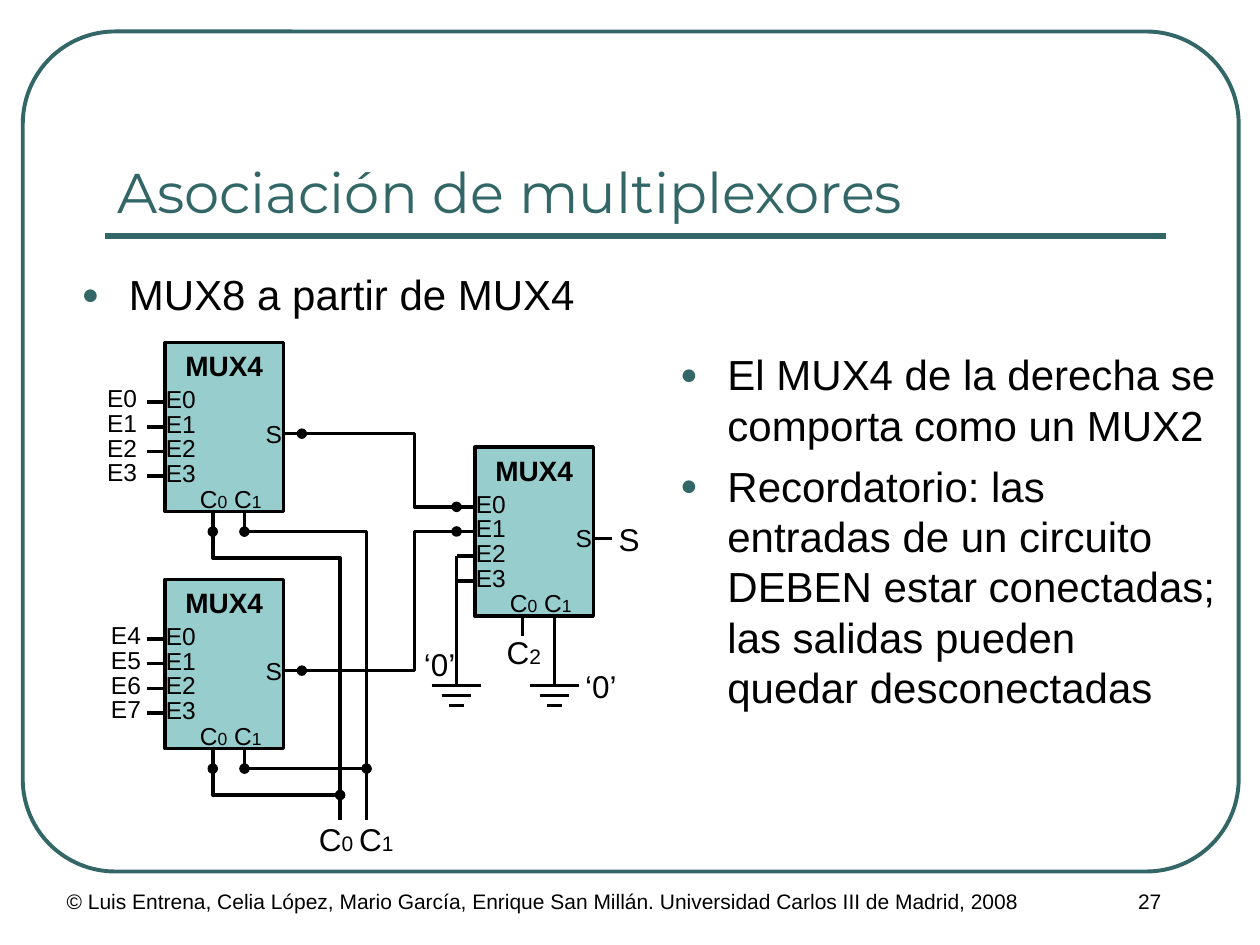
from lxml import etree
from pptx import Presentation
from pptx.dml.color import RGBColor
from pptx.enum.shapes import MSO_CONNECTOR, MSO_SHAPE
from pptx.enum.text import MSO_ANCHOR, MSO_AUTO_SIZE, PP_ALIGN
from pptx.oxml.ns import qn
from pptx.util import Pt

LEFT, MID, RIGHT = PP_ALIGN.LEFT, PP_ALIGN.CENTER, PP_ALIGN.RIGHT
TOP, CORE, LOW = MSO_ANCHOR.TOP, MSO_ANCHOR.MIDDLE, MSO_ANCHOR.BOTTOM
FIXED = MSO_AUTO_SIZE.NONE
RECT, ROUND = MSO_SHAPE.RECTANGLE, MSO_SHAPE.ROUNDED_RECTANGLE
LINE = MSO_CONNECTOR.STRAIGHT

HUES = {"teal": "336666", "box": "97CDCC", "ink": "000000"}
STUB, STEP = 10.5, 14.1
WIDE, TALL = 67.7, 96.5


def hue(name):
    return RGBColor.from_string(HUES[name])


def add(root, tag, **attrs):
    return etree.SubElement(root, qn(tag), attrs)


def bullet(para):
    props = para._p.get_or_add_pPr()
    props.set("marL", str(Pt(27)))
    props.set("indent", str(-Pt(27)))
    add(add(props, "a:buClr"), "a:srgbClr", val=HUES["teal"])
    add(props, "a:buSzPct", val="70000")
    add(props, "a:buFont", typeface="Arial")
    add(props, "a:buChar", char="●")


def write(shape, text, size=14, sub=10, font="Arial", color="ink", bold=False,
          align=LEFT, anchor=TOP, pad=(7.2, 3.6), wrap=True, dots=False):
    frame = shape.text_frame
    frame.word_wrap, frame.auto_size = wrap, FIXED
    frame.vertical_anchor = anchor
    frame.margin_left = frame.margin_right = Pt(pad[0])
    frame.margin_top = frame.margin_bottom = Pt(pad[1])
    for row, line in enumerate(text.split("\n")):
        para = frame.paragraphs[0] if row == 0 else frame.add_paragraph()
        para.alignment = align
        if dots:
            bullet(para)
            para.space_before = Pt(6 if row else 0)
        for turn, part in enumerate(line.split("_")):
            if not part:
                continue
            run = para.add_run()
            run.text = part
            run.font.name, run.font.bold = font, bold
            run.font.size = Pt(sub if turn % 2 else size)
            run.font.color.rgb = hue(color)


def place(slide, box, text, **style):
    write(slide.shapes.add_textbox(*map(Pt, box)), text, **style)


def label(slide, box, text, **style):
    place(slide, box, text, pad=(0, 0), **style)


def wire(slide, pts, head=False, tail=False, color="ink", width=2):
    pts = [(Pt(x), Pt(y)) for x, y in pts]
    if len(pts) == 2:
        path = slide.shapes.add_connector(LINE, *pts[0], *pts[1])
        add(path._element.spPr, "a:effectLst")
    else:
        pen = slide.shapes.build_freeform(*pts[0], scale=1.0)
        pen.add_line_segments(pts[1:], close=False)
        path = pen.convert_to_shape()
        path.fill.background()
        path.shadow.inherit = False
    path.line.color.rgb = hue(color)
    path.line.width = Pt(width)
    stroke = path.line._get_or_add_ln()
    for tag, dot in (("a:headEnd", head), ("a:tailEnd", tail)):
        if dot:
            add(stroke, tag, type="oval")


def block(slide, kind, box, line, width, fill=None):
    shape = slide.shapes.add_shape(kind, *map(Pt, box))
    shape.shadow.inherit = False
    shape.line.color.rgb = hue(line)
    shape.line.width = Pt(width)
    if fill:
        shape.fill.solid()
        shape.fill.fore_color.rgb = hue(fill)
    else:
        shape.fill.background()
    return shape


def mux(slide, x, y, names=(), gap=0, drops=(11.5, 11.5)):
    body = block(slide, RECT, (x, y, WIDE, TALL), "ink", 2, "box")
    write(body, "MUX4", size=16, bold=True, align=MID, wrap=False)
    ins = [(x - STUB, y + 34 + STEP * i) for i in range(4)]
    for i, pin in enumerate(ins):
        wire(slide, [pin, (x, pin[1])])
        label(slide, (x + 0.5, pin[1] - 10.3, 20, 16.6), f"E{i}", anchor=CORE)
    for name, pin in zip(names, ins):
        label(slide, (x - gap, pin[1] - 10.6, 20, 16.6), name, anchor=CORE)
    out = (x + WIDE + STUB, y + 52)
    wire(slide, [(x + WIDE, out[1]), out])
    label(slide, (x + 54.9, y + 43.5, 12, 16.6), "S", align=RIGHT, anchor=CORE)
    sels = []
    for dx, drop in zip((27.3, 45.4), drops):
        end = (x + dx, y + TALL + drop)
        wire(slide, [(x + dx, y + TALL), end])
        sels.append(end)
    label(slide, (x + 20, y + 80.8, 44, 16.6), "C_0_ C_1_", anchor=CORE)
    return ins, out, sels


def ground(slide, x, y):
    for i, half in enumerate((14.2, 8.4, 4.3)):
        wire(slide, [(x - half, y + 5.8 * i), (x + half, y + 5.8 * i)])


def circuit(slide, x, y):
    _, up, (a0, a1) = mux(slide, x, y, ("E0", "E1", "E2", "E3"), 33.1)
    _, down, (b0, b1) = mux(slide, x, y + 135.4, ("E4", "E5", "E6", "E7"), 30.9)
    ins, out, (c2, gnd) = mux(slide, x + 177.1, y + 59.8, drops=(11.5, 39.5))
    bus0, bus1, end = x + 100.1, x + 115.2, y + 273
    wire(slide, [a1, (bus1, a1[1]), (bus1, end)], head=True)
    wire(slide, [a0, (a0[0], a0[1] + 15), (bus0, a0[1] + 15), (bus0, end)],
         head=True)
    wire(slide, [b1, (bus1, b1[1])], head=True, tail=True)
    wire(slide, [(bus0, b0[1] + 15.1), (b0[0], b0[1] + 15.1), b0],
         head=True, tail=True)
    turn = x + 142.6
    for src, dst in ((up, ins[0]), (down, ins[1])):
        wire(slide, [src, (turn, src[1]), (turn, dst[1]), dst],
             head=True, tail=True)
    wire(slide, [ins[2], (ins[2][0], gnd[1])])
    for spot in (ins[2][0], gnd[0]):
        ground(slide, spot, gnd[1])
    notes = [
        (out[0] + 4, out[1] - 10.3, 16, "S"),
        (c2[0] - 9.2, c2[1] - 2, 26, "C_2_"),
        (bus0 - 12.2, end, 52, "C_0 _C_1_"),
        (gnd[0] + 17.6, gnd[1] - 10.5, 24, "‘0’"),
        (ins[2][0] - 18.7, gnd[1] - 23, 24, "‘0’"),
    ]
    for left, top, width, text in notes:
        label(slide, (left, top, width, 21.6), text, size=18, sub=12)


def frame(slide, x, y, w, h):
    edge = block(slide, ROUND, (x, y, w, h), "teal", 2.25)
    edge.adjustments[0] = 0.11
    wire(slide, [(x + 46.8, y + 116.8), (x + 653, y + 116.8)],
         color="teal", width=3)


def heading(slide, *box):
    title = slide.shapes.title
    title.left, title.top, title.width, title.height = map(Pt, box)
    write(title, "Asociación de multiplexores", size=32, font="Montserrat",
          color="teal", anchor=LOW)


def footer(slide, x, y, h):
    place(slide, (x, y, 612, h), "© Luis Entrena, Celia López, Mario García, "
          "Enrique San Millán. Universidad Carlos III de Madrid, 2008", size=12)
    place(slide, (x + 563, y, 126, h), "27", size=12, align=MID)


def main():
    deck = Presentation()
    deck.slide_width, deck.slide_height = Pt(720), Pt(540)
    slide = deck.slides.add_slide(deck.slide_layouts[5])
    frame(slide, 13, 18, 694.8, 480)
    heading(slide, 59.8, 41.8, 606.2, 90)
    footer(slide, 31, 504, 36)
    place(slide, (39.6, 150, 414.7, 42.5), "MUX8 a partir de MUX4",
          size=24, dots=True)
    circuit(slide, 94.3, 195.8)
    place(slide, (381.6, 195.8, 321.1, 295),
          "El MUX4 de la derecha se comporta como un MUX2\n"
          "Recordatorio: las entradas de un circuito DEBEN estar conectadas; "
          "las salidas pueden quedar desconectadas", size=24, dots=True)
    deck.save("out.pptx")


if __name__ == "__main__":
    main()
